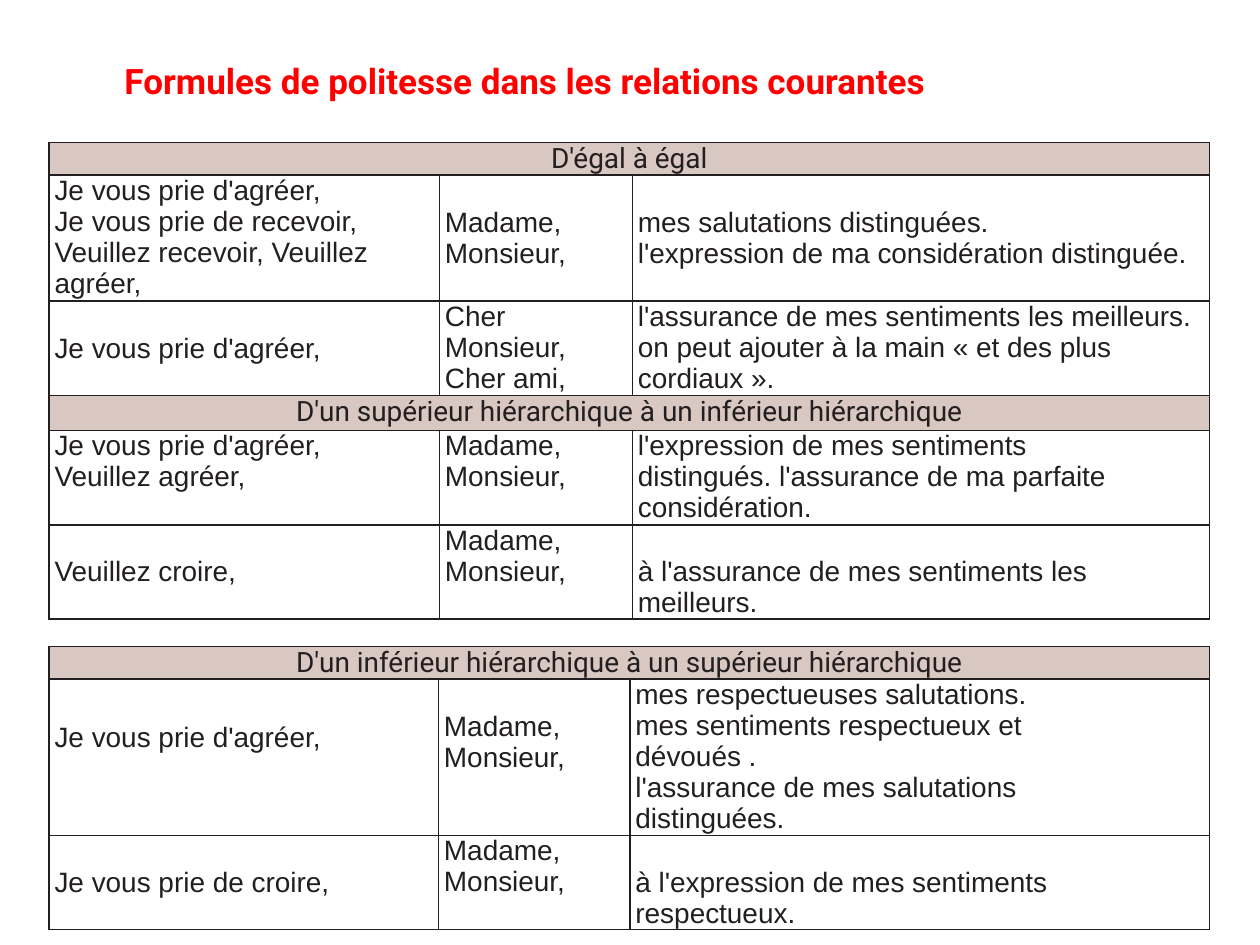
from lxml import etree
from pptx import Presentation
from pptx.dml.color import RGBColor
from pptx.enum.text import MSO_ANCHOR, PP_ALIGN
from pptx.oxml.ns import qn
from pptx.util import Cm, Pt

CENTER, LEFT = PP_ALIGN.CENTER, PP_ALIGN.LEFT
MIDDLE = MSO_ANCHOR.MIDDLE
COLORS = {"title": "FF0000", "ink": "231F20", "band": "D9C7C1"}
LINE = 0.64
SALUTATION = "Madame, Monsieur,"


def rgb(name):
    return RGBColor.from_string(COLORS[name])


def write(tf, text, font="Arial", size=16, color="ink", bold=False, align=LEFT):
    tf.word_wrap = True
    for i, line in enumerate(text.split("\n")):
        p = tf.paragraphs[0] if i == 0 else tf.add_paragraph()
        p.alignment = align
        r = p.add_run()
        r.text = line
        r.font.name = font
        r.font.size = Pt(size)
        r.font.bold = bold
        r.font.color.rgb = rgb(color)


def set_borders(cell):
    tcPr = cell._tc.get_or_add_tcPr()
    for side in ("a:lnL", "a:lnR", "a:lnT", "a:lnB"):
        ln = etree.SubElement(tcPr, qn(side), w=str(Pt(1)))
        fill = etree.SubElement(ln, qn("a:solidFill"))
        etree.SubElement(fill, qn("a:srgbClr"), val=COLORS["ink"])


def set_margins(cell, left=0, top=0, right=0):
    cell.margin_left, cell.margin_top = Cm(left), Cm(top)
    cell.margin_right, cell.margin_bottom = Cm(right), 0


def add_title(s, text, left, top, width, height):
    tf = s.shapes.add_textbox(Cm(left), Cm(top), Cm(width), Cm(height)).text_frame
    tf.margin_left = Cm(1.52)
    tf.vertical_anchor = MIDDLE
    write(tf, text, font="Roboto", size=20, color="title", bold=True)


def add_formulas(s, rows, left, top, widths, heights):
    frame = s.shapes.add_table(len(rows), len(widths), Cm(left), Cm(top),
                               Cm(sum(widths)), Cm(sum(heights)))
    table = frame.table
    table.first_row = table.horz_banding = False
    for col, width in zip(table.columns, widths):
        col.width = Cm(width)
    for i, (row, height) in enumerate(zip(rows, heights)):
        table.rows[i].height = Cm(height)
        cells = [table.cell(i, j) for j in range(len(widths))]
        for cell in cells:
            set_borders(cell)
            set_margins(cell)
            cell.fill.background()
        if isinstance(row, str):
            cells[0].merge(cells[-1])
            cells[0].fill.solid()
            cells[0].fill.fore_color.rgb = rgb("band")
            write(cells[0].text_frame, row, font="Roboto", align=CENTER)
            continue
        parts, tops, last_right = row
        for cell, text, offset, right in zip(cells, parts, tops, (0.75, 0.75, last_right)):
            set_margins(cell, left=0.11, top=offset, right=right)
            write(cell.text_frame, text)


def main():
    prs = Presentation()
    prs.slide_width, prs.slide_height = Cm(25.4), Cm(19.05)
    s = prs.slides.add_slide(prs.slide_layouts[6])

    first_rows = [
        "D'égal à égal",
        (("Je vous prie d'agréer,\nJe vous prie de recevoir, Veuillez recevoir, Veuillez agréer,",
          SALUTATION,
          "mes salutations distinguées.\nl'expression de ma considération distinguée."),
         (0, LINE, LINE), 0),
        (("Je vous prie d'agréer,",
          "Cher Monsieur, Cher ami,",
          "l'assurance de mes sentiments les meilleurs.\n"
          "on peut ajouter à la main « et des plus cordiaux »."),
         (LINE, 0, 0), 0),
        "D'un supérieur hiérarchique à un inférieur hiérarchique",
        (("Je vous prie d'agréer, Veuillez agréer,",
          SALUTATION,
          "l'expression de mes sentiments distingués. "
          "l'assurance de ma parfaite considération."),
         (0, 0, 0), 1.3),
        (("Veuillez croire,",
          SALUTATION,
          "à l'assurance de mes sentiments les meilleurs."),
         (LINE, 0, LINE), 1.3),
    ]
    second_rows = [
        "D'un inférieur hiérarchique à un supérieur hiérarchique",
        (("Je vous prie d'agréer,",
          SALUTATION,
          "mes respectueuses salutations.\n"
          "mes sentiments respectueux et dévoués .\n"
          "l'assurance de mes salutations distinguées."),
         (0.87, LINE, 0), 1.3),
        (("Je vous prie de croire,",
          SALUTATION,
          "à l'expression de mes sentiments respectueux."),
         (LINE, 0, LINE), 1.3),
    ]

    add_formulas(s, first_rows, 0.99, 2.87, (7.87, 3.89, 11.63),
                 (0.66, 2.54, 1.9, 0.71, 1.9, 1.9))
    add_formulas(s, second_rows, 0.99, 13.03, (7.85, 3.86, 11.68),
                 (0.66, 3.15, 1.9))
    add_title(s, "Formules de politesse dans les relations courantes",
              0.99, 1.07, 23.39, 1.12)
    prs.save("out.pptx")


if __name__ == "__main__":
    main()
